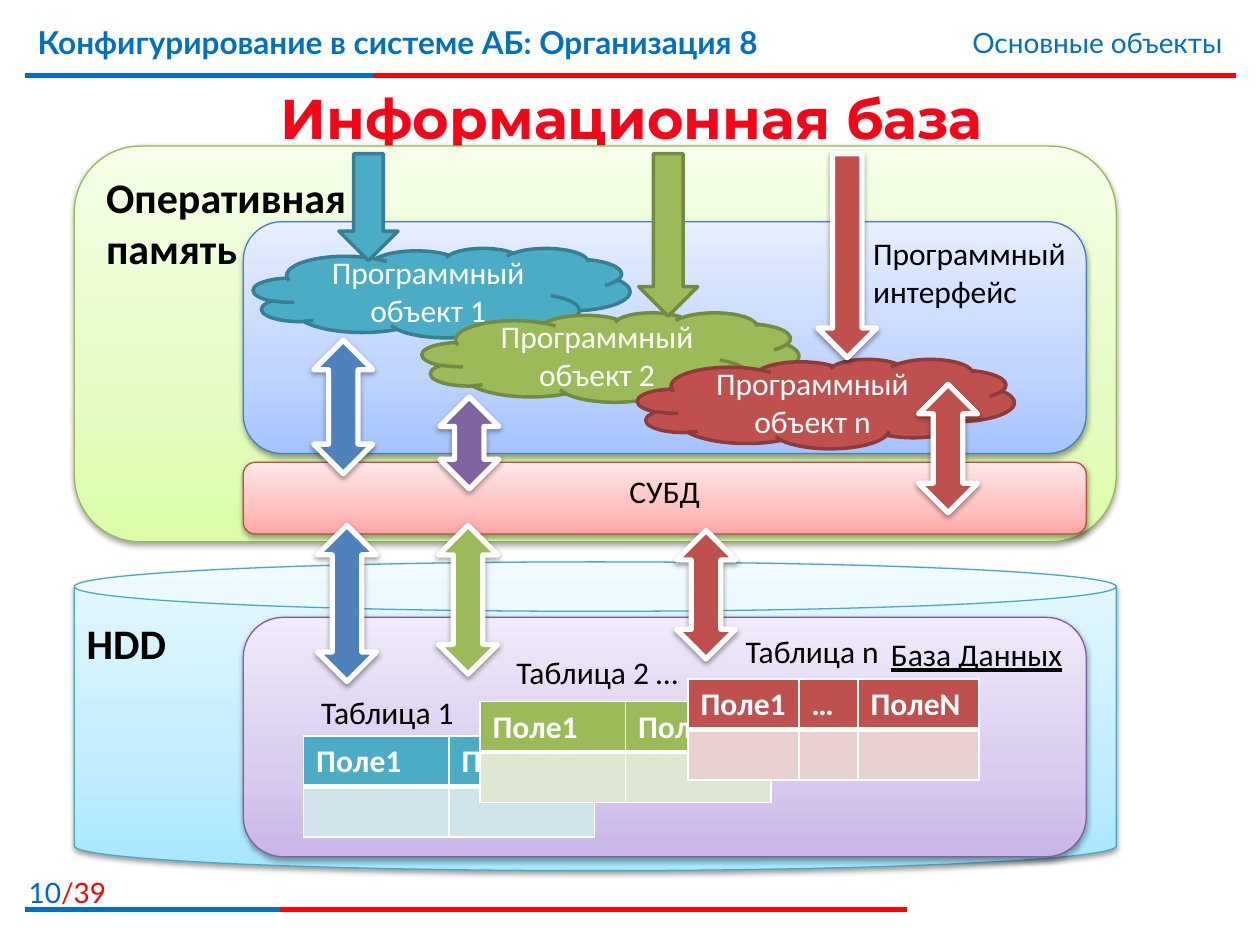
from typing import NamedTuple
from lxml import etree
from pptx import Presentation
from pptx.dml.color import RGBColor
from pptx.enum.shapes import MSO_CONNECTOR, MSO_SHAPE
from pptx.enum.text import MSO_ANCHOR, PP_ALIGN
from pptx.oxml import parse_xml
from pptx.oxml.ns import nsdecls, qn
from pptx.util import Pt

STRAIGHT = MSO_CONNECTOR.STRAIGHT
ROUNDED, CAN, CLOUD = MSO_SHAPE.ROUNDED_RECTANGLE, MSO_SHAPE.CAN, MSO_SHAPE.CLOUD
DOWN, UP_DOWN = MSO_SHAPE.DOWN_ARROW, MSO_SHAPE.UP_DOWN_ARROW
TOP, MIDDLE = MSO_ANCHOR.TOP, MSO_ANCHOR.MIDDLE
LEFT, CENTER, RIGHT = PP_ALIGN.LEFT, PP_ALIGN.CENTER, PP_ALIGN.RIGHT

COLORS = {
    "black": "000000", "white": "FFFFFF", "red": "FF0000", "blue": "0070C0",
    "number": "0066CC", "title": "F50516",
    "teal": "4BACC6", "teal_edge": "377F92", "teal_pale": "D0E3EA",
    "olive": "9BBB59", "olive_edge": "738A42", "olive_pale": "DEE7D1",
    "brick": "C0504D", "brick_edge": "8E3B39", "brick_pale": "E8D0D0",
    "steel": "4F81BD", "violet": "8064A2",
    "memory_edge": "98B955", "disk_edge": "46AAC5", "base_edge": "7D60A0",
    "objects_edge": "4B7EBC", "dbms_edge": "BF4C48",
}
GRADIENTS = {
    "memory": ("DAFDA7", "E4FCC2", "F5FFE7"),
    "disk": ("A7E6FF", "C1EDFF", "E7F8FF"),
    "base": ("C9B5E8", "D8CBEE", "F0EAF9"),
    "objects": ("A4C4FF", "BFD4FF", "E6EEFF"),
    "dbms": ("FFA6A5", "FFC0BF", "FFE7E7"),
}
BODY = {"name": "Calibri", "size": Pt(18)}
LARGE = {"name": "Calibri", "size": Pt(24), "bold": True}
HEADER = {"name": "Lato", "size": Pt(18), "bold": True}
SMALL = {"name": "Lato", "size": Pt(16)}
TITLE = {"name": "Montserrat", "size": Pt(32), "bold": True}
ARROW_WIDTH = 33.8
PANEL_X, PANEL_WIDTH = 96.5, 481.7


class Box(NamedTuple):
    x: float
    y: float
    width: float
    height: float

    def inner(self, x, y, width, height):
        return Box(self.x + x, self.y + y, width, height)

    def lengths(self):
        return [Pt(value) for value in self]


def rgb(color):
    return RGBColor.from_string(COLORS[color])


def write(frame, spans, style, align=LEFT, anchor=TOP):
    frame.word_wrap = True
    frame.vertical_anchor = anchor
    para = frame.paragraphs[0]
    para.alignment = align
    for words, color in spans:
        for number, line in enumerate(words.split("\n")):
            if number:
                para.add_line_break()
            span = para.add_run()
            span.text = line
            for name, value in style.items():
                setattr(span.font, name, value)
            span.font.color.rgb = rgb(color)
    return para


def add_text(page, box, spans, style=BODY, align=LEFT, anchor=TOP):
    label = page.shapes.add_textbox(*box.lengths())
    return write(label.text_frame, spans, style, align, anchor)


def add_effects(shape):
    shape._element.spPr.append(parse_xml(
        f'<a:effectLst {nsdecls("a")}><a:outerShdw blurRad="40000" dist="20000" '
        'dir="5400000" rotWithShape="0"><a:srgbClr val="000000">'
        '<a:alpha val="38000"/></a:srgbClr></a:outerShdw></a:effectLst>'))


def add_shape(page, kind, box, fill, edge, weight, shadow=False):
    shape = page.shapes.add_shape(kind, *box.lengths())
    if fill in GRADIENTS:
        stops = "".join(f'<a:gs pos="{spot}"><a:srgbClr val="{color}"/></a:gs>'
                        for spot, color in zip((0, 35000, 100000), GRADIENTS[fill]))
        shape._element.spPr.append(parse_xml(
            f'<a:gradFill {nsdecls("a")} rotWithShape="1"><a:gsLst>{stops}</a:gsLst>'
            '<a:lin ang="16200000" scaled="0"/></a:gradFill>'))
    else:
        shape.fill.solid()
        shape.fill.fore_color.rgb = rgb(fill)
    shape.line.color.rgb = rgb(edge)
    shape.line.width = Pt(weight)
    if shadow:
        add_effects(shape)
    else:
        shape.shadow.inherit = False
    return shape


def add_panel(page, kind, box, fill):
    return add_shape(page, kind, box, fill, f"{fill}_edge", 0.75, True)


def add_arrow(page, kind, box, fill, edge="white"):
    outlined = edge == "white"
    add_shape(page, kind, box, fill, edge, 3 if outlined else 2, outlined)


def add_rule(page, box, blue_width):
    for width, color in ((box.width, "red"), (blue_width, "blue")):
        line = page.shapes.add_connector(
            STRAIGHT, Pt(box.x), Pt(box.y), Pt(box.x + width), Pt(box.y))
        line.line.color.rgb = rgb(color)
        line.line.width = Pt(3)
        etree.SubElement(line._element.spPr, qn("a:effectLst"))


def add_borders(cell, weights):
    properties = cell._tc.get_or_add_tcPr()
    for position, (side, weight) in enumerate(zip("LRTB", weights)):
        properties.insert(position, parse_xml(
            f'<a:ln{side} {nsdecls("a")} w="{Pt(weight)}"><a:solidFill>'
            f'<a:srgbClr val="{COLORS["white"]}"/></a:solidFill></a:ln{side}>'))


def add_record(page, box, fields, widths, color):
    table = page.shapes.add_table(2, len(fields), *box.lengths()).table
    table.horz_banding = False
    for row in table.rows:
        row.height = Pt(box.height / 2)
    for index, (field, width) in enumerate(zip(fields, widths)):
        table.columns[index].width = Pt(width)
        for row, fill, weights in ((0, color, (1, 1, 1, 3)),
                                   (1, f"{color}_pale", (1, 1, 3, 1))):
            cell = table.cell(row, index)
            cell.fill.solid()
            cell.fill.fore_color.rgb = rgb(fill)
            add_borders(cell, weights)
        write(table.cell(0, index).text_frame, [(field, "white")], {**BODY, "bold": True})


def draw_header(page, box):
    add_rule(page, box.inner(0, 43.2, box.width, 0), 198.7)
    add_text(page, box.inner(0, 9.4, 532.8, 44.6),
             [("Конфигурирование в системе АБ: Организация 8", "blue")], HEADER)
    add_text(page, box.inner(413.3, 10.8, 277.9, 26.6),
             [("Основные объекты", "blue")], SMALL, RIGHT)


def draw_title(page, box):
    para = add_text(page, box, [("Информационная база", "title")], TITLE, CENTER, MIDDLE)
    para.runs[0].font._element.insert(0, parse_xml(
        f'<a:ln {nsdecls("a")} w="{Pt(0.75)}"><a:solidFill>'
        f'<a:srgbClr val="{COLORS["white"]}"/></a:solidFill></a:ln>'))


def draw_footer(page, box):
    add_text(page, box.inner(-21.6, 0, 74.9, 23), [("10", "number"), ("/39", "red")],
             SMALL, RIGHT)
    add_rule(page, box.inner(0, 23, box.width, 0), 145.4)


def draw_memory(page, box):
    memory = add_panel(page, ROUNDED, box, "memory")
    write(memory.text_frame, [("Оперативная\nпамять", "black")], LARGE)
    add_panel(page, ROUNDED, box.inner(PANEL_X, 43.2, PANEL_WIDTH, 132.5), "objects")
    for mark, x, y, color in (("1", 102.2, 58.3, "teal"), ("2", 198.7, 95.1, "olive"),
                              ("n", 321.8, 121.7, "brick")):
        cloud = add_shape(page, CLOUD, box.inner(x, y, 215.3, 51.1),
                          color, f"{color}_edge", 2)
        write(cloud.text_frame, [(f"Программный объект {mark}", "white")],
              BODY, CENTER, MIDDLE)
    for x, height, color, edge in ((151.2, 61.2, "teal", "teal_edge"),
                                   (424.8, 116.6, "brick", "white"),
                                   (322.5, 92.9, "olive", "olive_edge")):
        add_arrow(page, DOWN, box.inner(x, 4.3, ARROW_WIDTH, height), color, edge)
    add_text(page, box.inner(449.3, 46.8, 126, 51.1), [("Программный интерфейс", "black")])
    dbms = add_panel(page, ROUNDED, box.inner(PANEL_X, 180.7, PANEL_WIDTH, 41), "dbms")
    write(dbms.text_frame, [("СУБД", "black")], BODY, CENTER)
    for x, y, height, color in ((136.8, 110.9, 76.3, "steel"), (208.8, 143.3, 52.6, "violet"),
                                (482.4, 136.1, 73.4, "brick")):
        add_arrow(page, UP_DOWN, box.inner(x, y, ARROW_WIDTH, height), color)


def draw_disk(page, box):
    disk = add_panel(page, CAN, box, "disk")
    disk.adjustments[0] = 0.16
    write(disk.text_frame, [("HDD", "black")], LARGE)
    base = add_panel(page, ROUNDED, box.inner(PANEL_X, 31.7, PANEL_WIDTH, 136.8), "base")
    write(base.text_frame, [("База Данных", "black")], {**BODY, "underline": True}, RIGHT)
    for words, x, y in (("Таблица 1", 133.9, 71.3), ("Таблица 2 …", 245.5, 48.3),
                        ("Таблица n", 376.5, 36.7)):
        add_text(page, box.inner(x, y, 118.8, 30.2), [(words, "black")])
    pair, pair_widths = ("Поле1", "Поле2"), (83.15, 83.15)
    for x, y, fields, widths, color in (
            (131, 99.4, pair, pair_widths, "teal"),
            (231.8, 79.9, pair, pair_widths, "olive"),
            (350.6, 67, ("Поле1", "…", "ПолеN"), (63.4, 33.8, 69.1), "brick")):
        add_record(page, box.inner(x, y, sum(widths), 57.6), fields, widths, color)
    for x, y, height, color in ((344.1, -18, 73.4, "brick"), (138.9, -20.9, 89.3, "steel"),
                                (208.1, -20.9, 85, "olive")):
        add_arrow(page, UP_DOWN, box.inner(x, y, ARROW_WIDTH, height), color)


def main():
    deck = Presentation()
    deck.slide_width, deck.slide_height = Pt(720), Pt(540)
    page = deck.slides.add_slide(deck.slide_layouts[6])
    draw_header(page, Box(14.4, 0, 691.9, 54))
    draw_footer(page, Box(14.4, 496.8, 504, 23))
    draw_title(page, Box(15.1, 45.4, 691.9, 43.2))
    draw_memory(page, Box(42.5, 83.5, 595.4, 226.1))
    draw_disk(page, Box(42.5, 321.1, 595.4, 176.4))
    deck.save("out.pptx")


if __name__ == "__main__":
    main()
